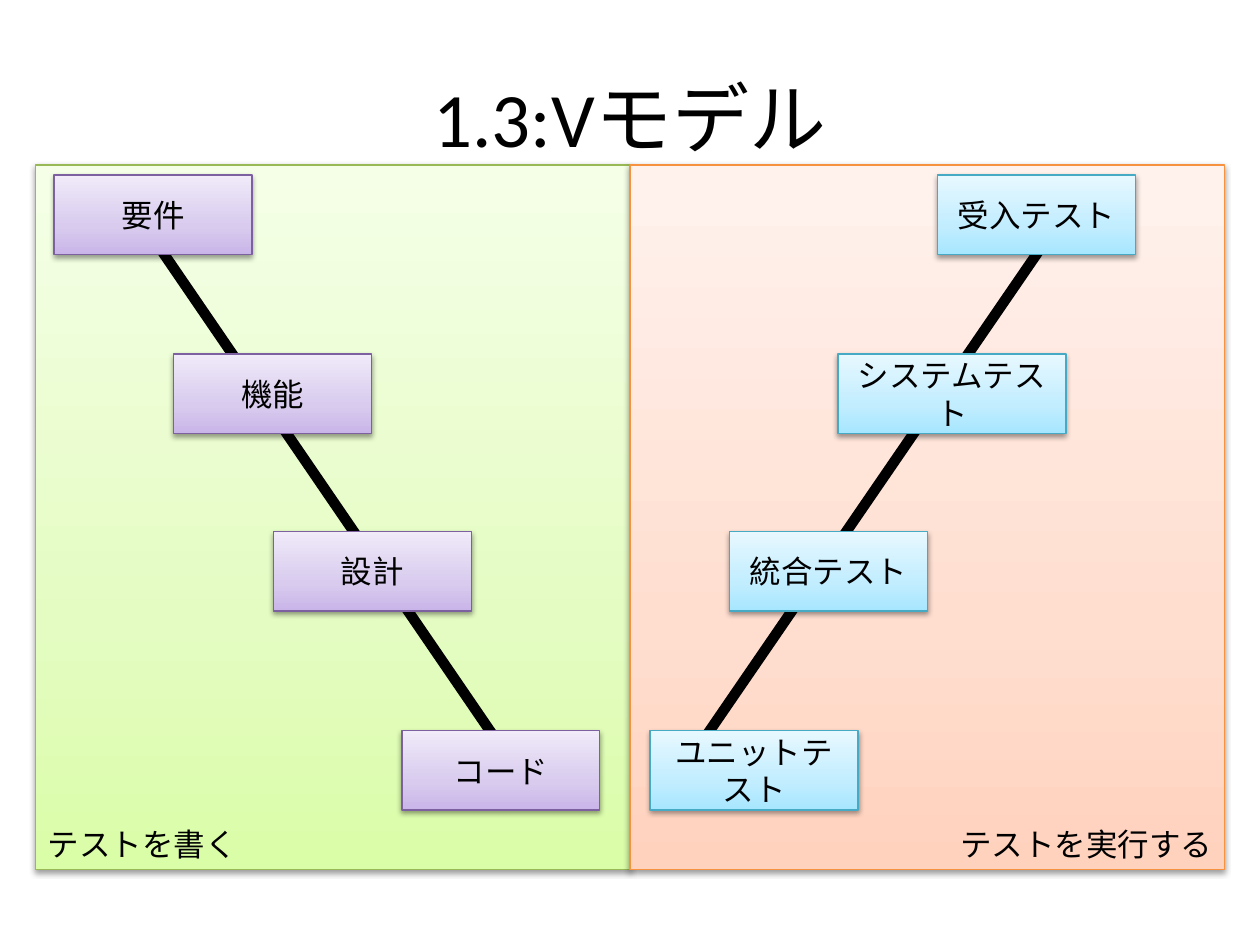
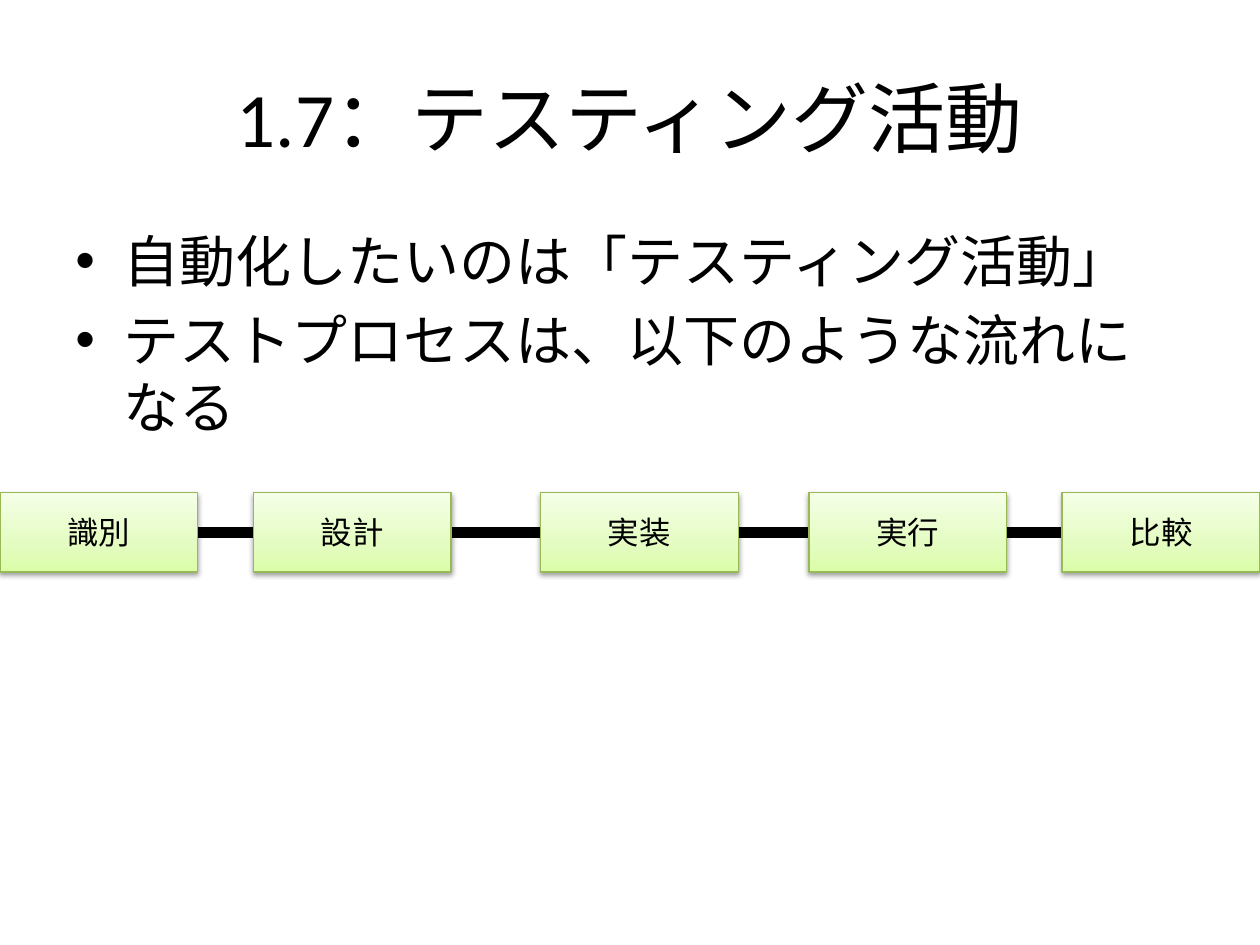
from lxml import etree
from pptx import Presentation
from pptx.dml.color import RGBColor
from pptx.enum.shapes import MSO_CONNECTOR, MSO_SHAPE
from pptx.enum.text import MSO_ANCHOR, PP_ALIGN
from pptx.oxml.ns import qn
from pptx.util import Inches, Pt

LEFT, CENTER, RIGHT = PP_ALIGN.LEFT, PP_ALIGN.CENTER, PP_ALIGN.RIGHT
TOP, MIDDLE, BOTTOM = MSO_ANCHOR.TOP, MSO_ANCHOR.MIDDLE, MSO_ANCHOR.BOTTOM
RECT, STRAIGHT = MSO_SHAPE.RECTANGLE, MSO_CONNECTOR.STRAIGHT

FONT = "Calibri"
COLORS = {"ink": "000000"}
# Each theme: outline colour, then gradient from bottom to top
THEMES = {
    "green": ("98B955", ("DAFDA7", "E4FCC2", "F5FFE7")),
    "orange": ("F69240", ("FFD2BD", "FFDED0", "FFF2ED")),
    "purple": ("7D60A0", ("C9B5E8", "D8CBEE", "F0EAF9")),
    "blue": ("46AAC5", ("A7E6FF", "C1EDFF", "E7F8FF")),
}
GRADIENT_STOPS = (0, 35000, 100000)
BOX_W, BOX_H = 1.57, 0.63


def sub(parent, tag, **attrs):
    return etree.SubElement(parent, qn(tag), attrs)


def write(tf, lines, size, align, anchor):
    tf.word_wrap = True
    tf.vertical_anchor = anchor
    for i, line in enumerate(lines):
        p = tf.paragraphs[0] if i == 0 else tf.add_paragraph()
        p.alignment = align
        r = p.add_run()
        r.text = line
        r.font.name = FONT
        r.font.size = Pt(size)
        r.font.color.rgb = RGBColor.from_string(COLORS["ink"])


def add_text(shapes, box, lines, size, align, anchor):
    tb = shapes.add_textbox(*map(Inches, box))
    write(tb.text_frame, lines, size, align, anchor)
    return tb.text_frame


def add_title(slide, text):
    add_text(slide.shapes, (0.5, 0.3, 9, 1.25), [text], 44, CENTER, MIDDLE)


def add_box(shapes, box, text, theme, align=CENTER, anchor=MIDDLE):
    """Gradient rectangle with a soft shadow below it."""
    outline, gradient = THEMES[theme]
    sp = shapes.add_shape(RECT, *map(Inches, box))
    sp.line.color.rgb = RGBColor.from_string(outline)
    sp.line.width = Pt(0.75)

    # Three-stop gradient
    sp.fill.gradient()
    sp.fill.gradient_angle = 90
    stops = sp.element.spPr.find(qn("a:gradFill")).find(qn("a:gsLst"))
    for stop in list(stops):
        stops.remove(stop)
    for pos, color in zip(GRADIENT_STOPS, gradient):
        sub(sub(stops, "a:gs", pos=str(pos)), "a:srgbClr", val=color)

    # Shadow
    sp.shadow.inherit = False
    shadow = sub(sp.element.spPr.find(qn("a:effectLst")), "a:outerShdw",
                 blurRad=str(Pt(3.1)), dist=str(Pt(1.6)), dir="5400000",
                 rotWithShape="0")
    sub(sub(shadow, "a:srgbClr", val=COLORS["ink"]), "a:alpha", val="38000")

    write(sp.text_frame, [text], 18, align, anchor)


def add_thick_line(shapes, *ends):
    cx = shapes.add_connector(STRAIGHT, *map(Inches, ends))
    cx.line.color.rgb = RGBColor.from_string(COLORS["ink"])
    cx.line.width = Pt(6)
    sub(cx.element.spPr, "a:effectLst")


def add_branch(slide, box, caption, align, themes, line, steps):
    """One half of the V: panel, slanting line and a box for each step."""
    left, top = box[:2]
    panel_theme, step_theme = themes
    add_box(slide.shapes, box, caption, panel_theme, align, BOTTOM)
    x1, x2 = line
    add_thick_line(slide.shapes, left + x1, top + 0.47, left + x2, top + 4.96)
    for y, (text, x, width) in zip((0.08, 1.5, 2.91, 4.49), steps):
        add_box(slide.shapes, (left + x, top + y, width, BOX_H), text, step_theme)


def add_bullets(slide, box, lines):
    tf = add_text(slide.shapes, box, lines, 32, LEFT, TOP)
    for p in tf.paragraphs:
        pPr = p._p.get_or_add_pPr()
        pPr.set("marL", str(Inches(0.38)))
        pPr.set("indent", str(Inches(-0.38)))
        sub(sub(pPr, "a:spcBef"), "a:spcPct", val="20000")
        sub(pPr, "a:buFont", typeface="Arial")
        sub(pPr, "a:buChar", char="•")


def add_process(slide, left, top, steps):
    """Row of boxes strung on one line."""
    shapes = slide.shapes.add_group_shape().shapes
    y = top + BOX_H / 2
    add_thick_line(shapes, left + 1.06, y, left + 9.72, y)
    for text, x in steps:
        add_box(shapes, (left + x, top, BOX_W, BOX_H), text, "green")


def build_v_model(slide):
    panel_w, panel_h, top, middle = 4.72, 5.59, 1.31, 5
    add_branch(slide, (middle - panel_w, top, panel_w, panel_h),
               "テストを書く", LEFT, ("green", "purple"), (0.86, 3.93),
               [("要件", 0.15, BOX_W), ("機能", 1.1, BOX_W),
                ("設計", 1.89, BOX_W), ("コード", 2.91, BOX_W)])
    add_branch(slide, (middle, top, panel_w, panel_h),
               "テストを実行する", RIGHT, ("orange", "blue"), (3.39, 0.31),
               [("受入テスト", 2.44, BOX_W), ("システムテスト", 1.65, 1.81),
                ("統合テスト", 0.79, BOX_W), ("ユニットテスト", 0.16, 1.65)])
    add_title(slide, "1.3:Vモデル")


def build_testing_activities(slide):
    add_title(slide, "1.7：テスティング活動")
    add_bullets(slide, (0.5, 1.75, 9, 1.53),
                ["自動化したいのは「テスティング活動」",
                 "テストプロセスは、以下のような流れになる"])
    add_process(slide, 0, 3.91,
                [("識別", 0), ("設計", 2.01), ("実装", 4.29),
                 ("実行", 6.42), ("比較", 8.43)])


def main():
    prs = Presentation()
    prs.slide_width, prs.slide_height = Inches(10), Inches(7.5)
    for build in (build_v_model, build_testing_activities):
        build(prs.slides.add_slide(prs.slide_layouts[6]))
    prs.save("out.pptx")


if __name__ == "__main__":
    main()
